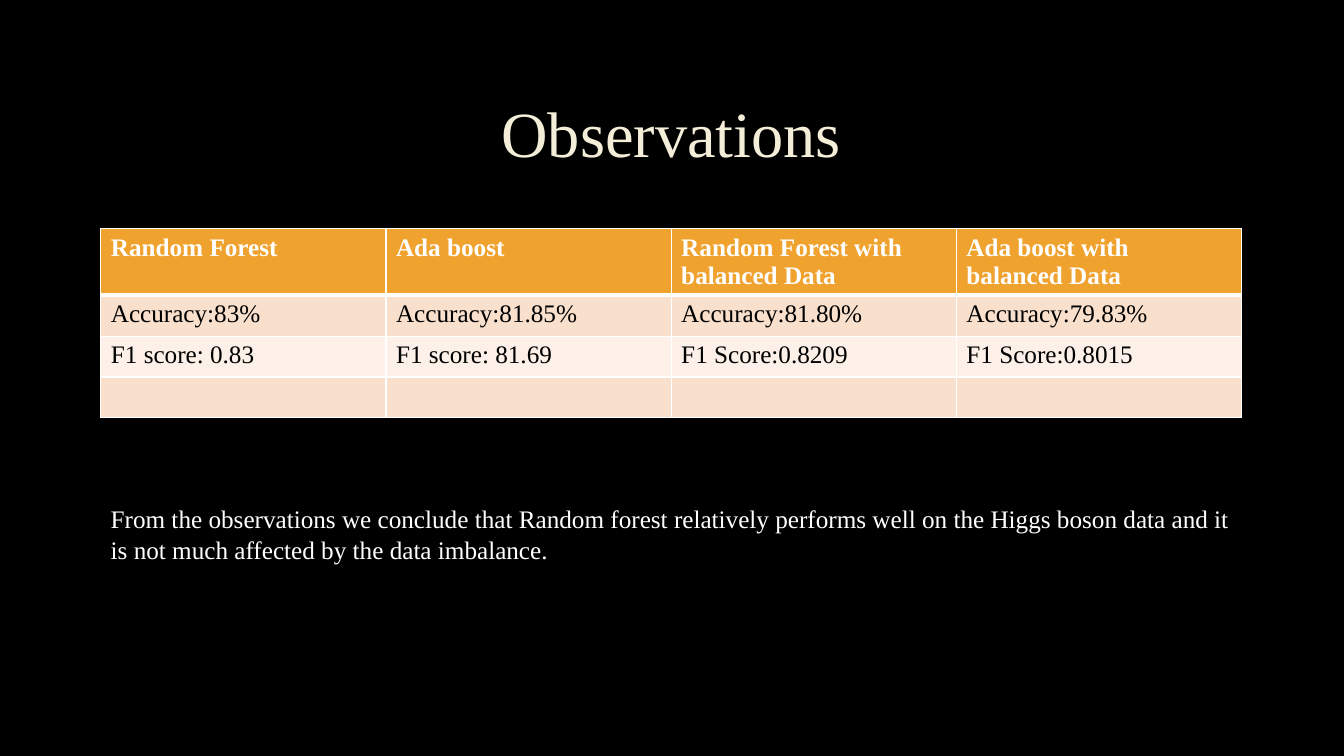
from dataclasses import dataclass

from lxml import etree
from pptx import Presentation
from pptx.dml.color import RGBColor
from pptx.enum.text import MSO_ANCHOR, PP_ALIGN
from pptx.oxml.ns import qn
from pptx.util import Cm, Pt

MIDDLE = MSO_ANCHOR.MIDDLE
CENTER = PP_ALIGN.CENTER
TITLE_ONLY = 5

FONT = "Times New Roman"
COLOURS = {
    "background": "000000",
    "title": "F4EDD8",
    "header": "F0A22E",
    "band_dark": "F9E0CD",
    "band_light": "FCF0E8",
    "light_text": "FFFFFF",
    "dark_text": "000000",
    "border": "FFFFFF",
}
LEFT, WIDTH = Cm(2.54), Cm(28.75)
HEADER_HEIGHT, ROW_HEIGHT = Cm(1.68), Cm(1.03)
THIN, THICK = Pt(1), Pt(3)


@dataclass
class Result:
    model: str
    accuracy: str
    f1_score: str


@dataclass
class RowStyle:
    fill: str
    text: str = "dark_text"
    bold: bool = False
    top: int = THIN
    bottom: int = THIN


RESULTS = [
    Result("Random Forest", "Accuracy:83%", "F1 score: 0.83"),
    Result("Ada boost", "Accuracy:81.85%", "F1 score: 81.69"),
    Result("Random Forest with balanced Data", "Accuracy:81.80%", "F1 Score:0.8209"),
    Result("Ada boost with balanced Data", "Accuracy:79.83%", "F1 Score:0.8015"),
]
ROW_STYLES = [
    RowStyle("header", "light_text", bold=True, bottom=THICK),
    RowStyle("band_dark", top=THICK),
    RowStyle("band_light"),
    RowStyle("band_dark"),
]
CONCLUSION = (
    "From the observations we conclude that Random forest relatively performs well "
    "on the Higgs boson data and it is not much affected by the data imbalance."
)


def rgb(name: str) -> RGBColor:
    return RGBColor.from_string(COLOURS[name])


def style_font(para, size: float, colour: str, bold: bool = False) -> None:
    font = para.font
    font.name, font.size, font.bold = FONT, Pt(size), bold
    font.color.rgb = rgb(colour)


def add_borders(cell, top: int, bottom: int) -> None:
    """Draw all four sides; must run before the cell is filled."""
    properties = cell._tc.get_or_add_tcPr()
    for side, width in (("L", THIN), ("R", THIN), ("T", top), ("B", bottom)):
        line = etree.SubElement(properties, qn(f"a:ln{side}"), w=str(int(width)))
        fill = etree.SubElement(line, qn("a:solidFill"))
        etree.SubElement(fill, qn("a:srgbClr"), val=COLOURS["border"])


def add_title(page, text: str) -> None:
    title = page.shapes.title
    title.left, title.top, title.width, title.height = LEFT, Cm(1.7), WIDTH, Cm(3.5)
    title.text_frame.text = text
    title.text_frame.vertical_anchor = MIDDLE
    para = title.text_frame.paragraphs[0]
    para.alignment, para.line_spacing = CENTER, 0.9
    style_font(para, 46, "title")


def add_results_table(page, results: list[Result]) -> None:
    """One column per model, with an empty row at the foot."""
    height = HEADER_HEIGHT + ROW_HEIGHT * (len(ROW_STYLES) - 1)
    table = page.shapes.add_table(
        len(ROW_STYLES), len(results), LEFT, Cm(5.76), WIDTH, height
    ).table
    table.first_row = table.horz_banding = False
    for index, row in enumerate(table.rows):
        row.height = ROW_HEIGHT if index else HEADER_HEIGHT
    for column, result in enumerate(results):
        texts = (result.model, result.accuracy, result.f1_score, "")
        for row, (text, style) in enumerate(zip(texts, ROW_STYLES)):
            cell = table.cell(row, column)
            cell.text = text
            add_borders(cell, style.top, style.bottom)
            cell.fill.solid()
            cell.fill.fore_color.rgb = rgb(style.fill)
            style_font(cell.text_frame.paragraphs[0], 18, style.text, style.bold)


def add_conclusion(page, text: str) -> None:
    box = page.shapes.add_textbox(LEFT, Cm(12.57), WIDTH, Cm(1.8))
    box.text_frame.word_wrap = True
    box.text_frame.text = text
    style_font(box.text_frame.paragraphs[0], 18, "light_text")


def main() -> None:
    deck = Presentation()
    deck.slide_width, deck.slide_height = Cm(33.87), Cm(19.05)
    page = deck.slides.add_slide(deck.slide_layouts[TITLE_ONLY])
    page.background.fill.solid()
    page.background.fill.fore_color.rgb = rgb("background")
    add_title(page, "Observations")
    add_results_table(page, RESULTS)
    add_conclusion(page, CONCLUSION)
    deck.save("out.pptx")


if __name__ == "__main__":
    main()
